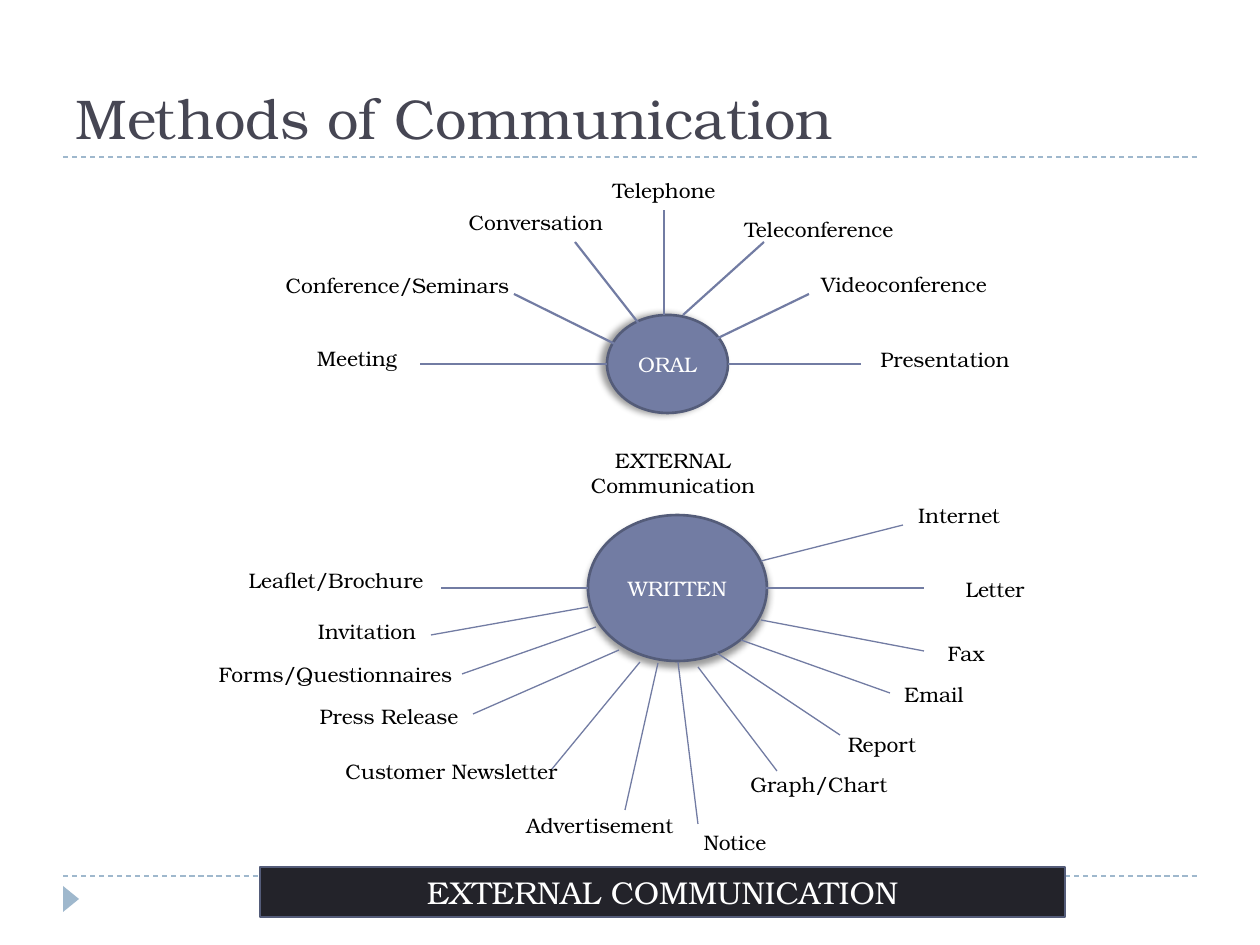
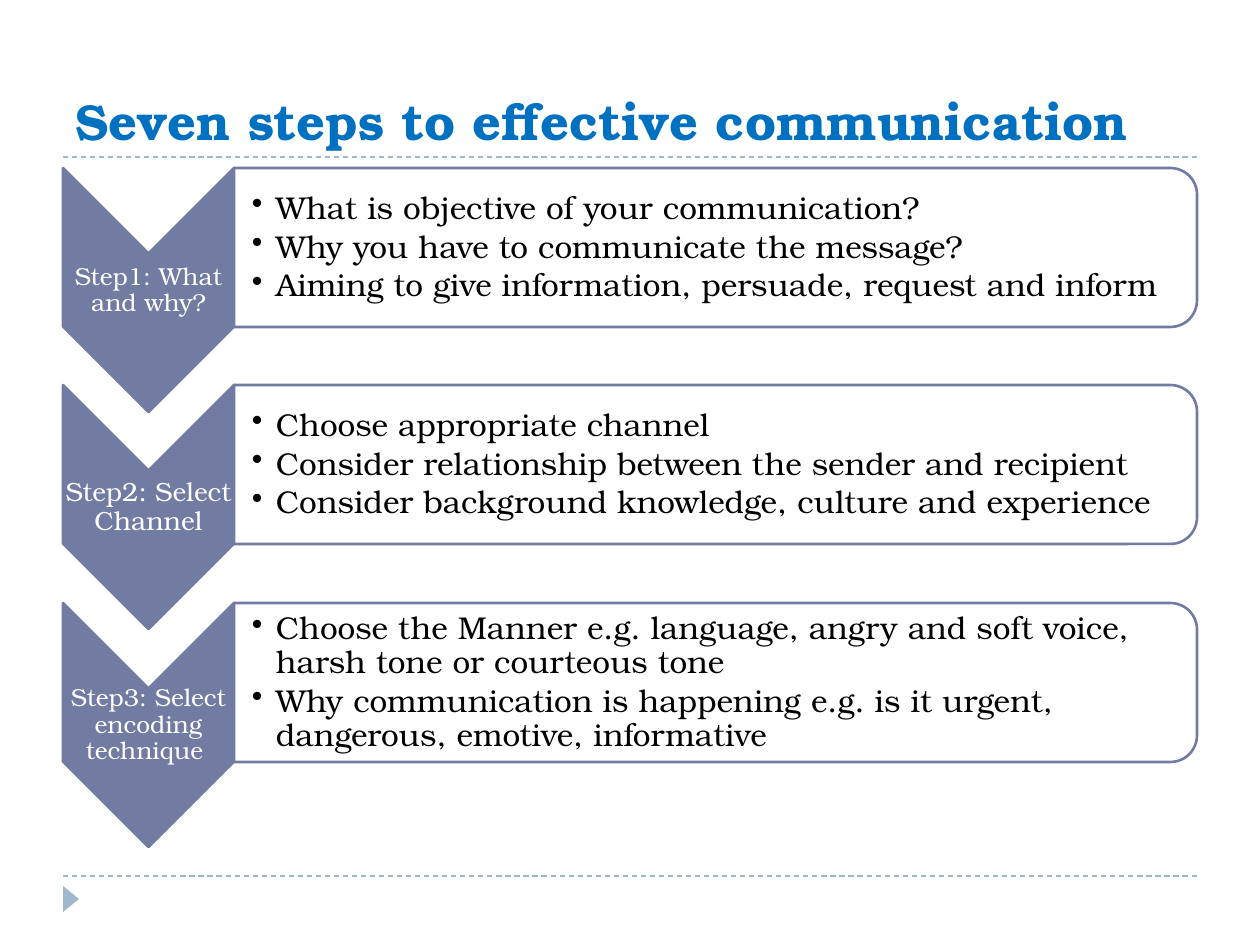
from lxml import etree
from pptx import Presentation
from pptx.dml.color import RGBColor
from pptx.enum.dml import MSO_LINE
from pptx.enum.shapes import MSO_CONNECTOR, MSO_SHAPE
from pptx.enum.text import MSO_ANCHOR, MSO_AUTO_SIZE, PP_ALIGN
from pptx.oxml.ns import qn
from pptx.util import Pt

STRAIGHT = MSO_CONNECTOR.STRAIGHT
DASH = MSO_LINE.DASH
ELLIPSE, RECTANGLE = MSO_SHAPE.OVAL, MSO_SHAPE.RECTANGLE
TRIANGLE, CHEVRON = MSO_SHAPE.ISOSCELES_TRIANGLE, MSO_SHAPE.CHEVRON
ROUNDED_END = MSO_SHAPE.ROUND_2_SAME_RECTANGLE
TOP, MIDDLE, BOTTOM = MSO_ANCHOR.TOP, MSO_ANCHOR.MIDDLE, MSO_ANCHOR.BOTTOM
LEFT, CENTER = PP_ALIGN.LEFT, PP_ALIGN.CENTER
NO_FIT = MSO_AUTO_SIZE.NONE

PX_PER_INCH = 126
FONT = "TeX Gyre Bonum"
COLORS = {
    "title": "464653",
    "title_blue": "0070C0",
    "rule": "9FB8CD",
    "accent": "727CA3",
    "accent_dark": "545C79",
    "banner": "23232A",
    "white": "FFFFFF",
    "black": "000000",
}

LABEL_HEIGHT = 38
# label, (left, top, width), spoke start, spoke end
ORAL_METHODS = [
    ("Telephone", (559, 171, 210), (664, 315), (664, 210)),
    ("Teleconference", (714, 210, 210), (683, 315), (764, 242)),
    ("Videoconference", (799, 265, 210), (714, 340), (809, 294)),
    ("Presentation", (840, 340, 210), (728, 364), (861, 364)),
    ("Conversation", (431, 203, 210), (640, 325), (575, 242)),
    ("Conference/Seminars", (271, 266, 253), (625, 349), (514, 294)),
    ("Meeting", (252, 339, 210), (607, 364), (420, 364)),
]
WRITTEN_METHODS = [
    ("Internet", (854, 496, 210), (761, 561), (903, 525)),
    ("Letter", (890, 570, 210), (766, 588), (924, 588)),
    ("Fax", (861, 634, 210), (761, 620), (924, 651)),
    ("Email", (829, 675, 210), (741, 640), (890, 693)),
    ("Report", (777, 725, 210), (714, 651), (840, 735)),
    ("Graph/Chart", (714, 765, 210), (698, 667), (777, 771)),
    ("Notice", (630, 823, 210), (678, 662), (698, 824)),
    ("Advertisement", (495, 806, 210), (658, 663), (625, 810)),
    ("Customer Newsletter", (315, 752, 273), (640, 662), (552, 769)),
    ("Press Release", (284, 697, 210), (619, 650), (473, 714)),
    ("Forms/Questionnaires", (199, 655, 273), (596, 627), (462, 674)),
    ("Invitation", (262, 612, 210), (588, 607), (431, 635)),
    ("Leaflet/Brochure", (231, 561, 210), (588, 588), (441, 588)),
]
# heading, heading size, bullets
STEPS = [
    ("Step1: What and why?", 14, [
        "What is objective of your communication?",
        "Why you have to communicate the message?",
        "Aiming to give information, persuade, request and inform",
    ]),
    ("Step2: Select Channel", 15, [
        "Choose appropriate channel",
        "Consider relationship between the sender and recipient",
        "Consider background knowledge, culture and experience",
    ]),
    ("Step3: Select encoding technique ", 14, [
        "Choose the Manner e.g. language, angry and soft voice, "
        "harsh tone or courteous tone",
        "Why communication is happening e.g. is it urgent, "
        "dangerous, emotive, informative",
    ]),
]


def px(length):
    return round(length * 914400 / PX_PER_INCH)


def color(name):
    return RGBColor.from_string(COLORS[name])


def write(frame, lines, size, ink, align=CENTER, anchor=TOP, bold=False,
          wrap=True, spacing=None, bullet=False):
    frame.auto_size = NO_FIT
    frame.word_wrap = wrap
    frame.vertical_anchor = anchor
    frame.text = "\n".join(lines)
    for paragraph in frame.paragraphs:
        if bullet:
            add_bullet(paragraph)
        paragraph.alignment = align
        paragraph.line_spacing = spacing
        paragraph.font.name = FONT
        paragraph.font.size = Pt(size)
        paragraph.font.bold = bold
        paragraph.font.color.rgb = color(ink)


def add_bullet(paragraph):
    paragraph.space_after = Pt(2.7)
    properties = paragraph._p.get_or_add_pPr()
    properties.set("marL", str(px(24)))
    properties.set("indent", str(px(-24)))
    etree.SubElement(properties, qn("a:buChar"), char="•")


def add_text(slide, box, lines, size, ink="black", margins=None, **style):
    """Add a text box; margins are its left inset and its other insets."""
    frame = slide.shapes.add_textbox(*map(px, box)).text_frame
    write(frame, lines, size, ink, **style)
    if margins:
        first, others = map(px, margins)
        frame.margin_left = first
        frame.margin_top = frame.margin_right = frame.margin_bottom = others


def add_block(slide, kind, box, fill, outline=None, weight=1.5):
    block = slide.shapes.add_shape(kind, *map(px, box))
    block.shadow.inherit = False
    block.fill.solid()
    block.fill.fore_color.rgb = color(fill)
    if outline:
        block.line.color.rgb = color(outline)
        block.line.width = Pt(weight)
    else:
        block.line.fill.background()
    return block


def add_quarter_turned(slide, kind, box, fill, outline=None):
    """Add a block turned by 90 degrees that covers box once turned."""
    left, top, width, height = box
    shift = (width - height) / 2
    block = add_block(slide, kind, (left + shift, top - shift, height, width),
                      fill, outline)
    block.rotation = 90


def add_line(slide, start, end, ink, weight, dash=None):
    line = slide.shapes.add_connector(STRAIGHT, *map(px, start + end))
    line.line.color.rgb = color(ink)
    line.line.width = Pt(weight)
    if dash:
        line.line.dash_style = dash
    etree.SubElement(line._element.spPr, qn("a:effectLst"))


def add_shadow(block, direction):
    effects = block._element.spPr.find(qn("a:effectLst"))
    shadow = etree.SubElement(
        effects, qn("a:outerShdw"), blurRad=str(Pt(4)), dist=str(Pt(3)),
        dir=str(direction * 60000), rotWithShape="0")
    shade = etree.SubElement(shadow, qn("a:srgbClr"), val=COLORS["black"])
    etree.SubElement(shade, qn("a:alpha"), val="40000")


def add_hub(slide, box, name, shadow_direction):
    hub = add_block(slide, ELLIPSE, box, "accent", "accent_dark")
    add_shadow(hub, shadow_direction)
    write(hub.text_frame, [name], 12, "white", anchor=MIDDLE, wrap=False)


def add_spokes(slide, methods, weight):
    for name, place, start, end in methods:
        add_line(slide, start, end, "accent", weight)
        add_text(slide, place + (LABEL_HEIGHT,), [name], 12)


def add_step(slide, top, heading, heading_size, points):
    add_quarter_turned(slide, CHEVRON, (63, top, 171, 244), "accent", "accent")
    add_text(slide, (63, top + 86, 171, 73), [heading], heading_size, "white",
             margins=(1, 1), anchor=MIDDLE, spacing=0.9)
    add_quarter_turned(slide, ROUNDED_END, (234, top, 963, 159),
                       "white", "accent")
    add_text(slide, (234, top + 8, 955, 144), points, 18, margins=(18, 1),
             align=LEFT, anchor=MIDDLE, spacing=0.9, bullet=True)


def add_titled_slide(deck, heading, size, ink, bold=False):
    slide = deck.slides.add_slide(deck.slide_layouts[5])
    for height in (876, 157):
        add_line(slide, (63, height), (1197, height), "rule", 0.75, DASH)
    add_quarter_turned(slide, TRIANGLE, (63, 886, 16, 26), "rule")
    title = slide.shapes.title
    title.left, title.top, title.width, title.height = map(
        px, (63, 21, 1134, 136))
    write(title.text_frame, [heading], size, ink, align=LEFT, anchor=BOTTOM,
          bold=bold)
    return slide


def build_methods(deck):
    slide = add_titled_slide(deck, "Methods of Communication", 32, "title")
    banner = add_block(slide, RECTANGLE, (260, 867, 805, 50),
                       "banner", "accent_dark", 0.75)
    write(banner.text_frame, ["EXTERNAL COMMUNICATION"], 18, "white")
    add_hub(slide, (607, 315, 121, 98), "ORAL", 180)
    add_hub(slide, (588, 515, 179, 146), "WRITTEN", 90)
    add_spokes(slide, ORAL_METHODS, 1.25)
    add_text(slide, (577, 441, 192, 63), ["EXTERNAL", "Communication"], 12,
             wrap=False)
    add_spokes(slide, WRITTEN_METHODS, 0.75)


def build_steps(deck):
    slide = add_titled_slide(deck, "Seven steps to effective communication",
                             28.8, "title_blue", bold=True)
    for index, step in enumerate(STEPS):
        add_step(slide, 168 + 435 * index // 2, *step)


def main():
    deck = Presentation()
    deck.slide_width, deck.slide_height = px(1260), px(945)
    build_methods(deck)
    build_steps(deck)
    deck.save("out.pptx")


if __name__ == "__main__":
    main()
